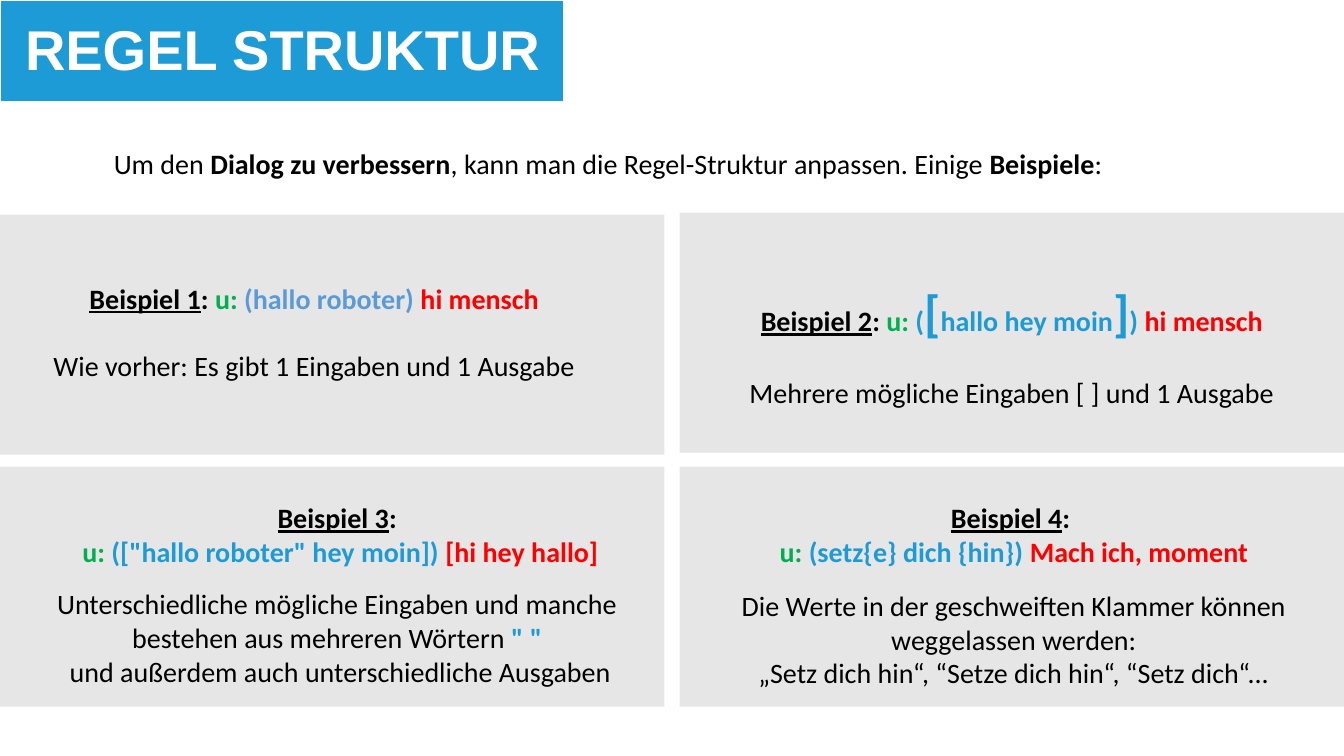
from pptx import Presentation
from pptx.dml.color import RGBColor
from pptx.enum.shapes import MSO_SHAPE
from pptx.enum.text import MSO_AUTO_SIZE, PP_ALIGN
from pptx.util import Emu, Pt

PX = 9144  # 100 px to the inch
HEX = {"black": "000000", "white": "FFFFFF", "blue": "1D9BD7", "sky": "5B9BD5",
       "green": "00B050", "red": "FF0000", "gray": "E7E6E6"}

deck = Presentation()
deck.slide_width, deck.slide_height = Emu(1333 * PX), Emu(750 * PX)
slide = deck.slides.add_slide(deck.slide_layouts[6])


def put(shapes, area, fill=None):
    """Add a filled panel, or a text box when no fill is given."""
    area = [Emu(n * PX) for n in area]
    if fill:
        shape = shapes.add_shape(MSO_SHAPE.RECTANGLE, *area)
        shape.shadow.inherit = False
        shape.fill.solid()
        shape.fill.fore_color.rgb = RGBColor.from_string(HEX[fill])
        shape.line.fill.background()
    else:
        shape = shapes.add_textbox(*area)
        shape.text_frame.word_wrap = True
        shape.text_frame.auto_size = MSO_AUTO_SIZE.SHAPE_TO_FIT_TEXT
    return shape


def write(para, text, size=20, color="black", bold=False, under=False, font="Calibri"):
    """Add text to a paragraph; a newline becomes a line break."""
    for i, line in enumerate(text.split("\n")):
        if i:
            para.add_line_break()
        if line:
            run = para.add_run()
            run.text = line
            face = run.font
            face.name, face.size, face.bold = font, Pt(size), bold
            face.underline = under
            face.color.rgb = RGBColor.from_string(HEX[color])


# Intro line
intro = put(slide.shapes, (103, 140, 1122, 44)).text_frame.paragraphs[0]
for i, part in enumerate(["Um den ", "Dialog zu verbessern",
                          ", kann man die Regel-Struktur anpassen. Einige ", "Beispiele", ":"]):
    write(intro, part, bold=i % 2 == 1)

# Title banner
banner = put(slide.shapes, (0, 0, 559, 101), "blue")
banner.line.color.rgb = RGBColor.from_string(HEX["white"])
banner.line.width = Pt(1)
title = put(slide.shapes, (15, 10, 1179, 77)).text_frame.paragraphs[0]
write(title, "REGEL STRUKTUR", size=40, color="white", bold=True, font="Arial")

# Examples: panel corner, text area, gap after the rule, separator, rule, notes
blue, red = {"color": "blue"}, {"color": "red"}
large = {"color": "blue", "size": 36}
cards = [
    ((0, 213), (29, 274, 565, 111), 24.4, ": ",
     [("(hallo roboter) ", {"color": "sky"}), ("hi mensch", red)],
     [[("Wie vorher: Es gibt 1 Eingaben und 1 Ausgabe", {})]]),
    ((674, 211), (699, 274, 609, 138), 24.4, ": ",
     [("(", blue), ("[", large), ("hallo hey moin", blue), ("]", large), (") ", blue),
      ("hi mensch", red)],
     [[("Mehrere mögliche Eingaben [ ] und 1 Ausgabe", {})]]),
    ((0, 463), (0, 492, 675, 202), 13.4, ": \n",
     [('(["hallo roboter" hey moin]) ', blue), ("[hi hey hallo]", red)],
     [[("Unterschiedliche mögliche Eingaben und manche \nbestehen aus mehreren Wörtern ", {}),
       ('" " \n', {"color": "blue", "bold": True}),
       ("und außerdem auch unterschiedliche Ausgaben", {})]]),
    ((674, 463), (702, 492, 607, 199), 14.6, ": \n",
     [("(setz{e} dich {hin}) ", blue), ("Mach ich, moment", red)],
     [[("Die Werte in der geschweiften Klammer können weggelassen werden:", {})],
      [("„Setz dich hin“, “Setze dich hin“, “Setz dich“...", {})]]),
]
for num, (spot, area, gap, sep, rule, notes) in enumerate(cards, 1):
    group = slide.shapes.add_group_shape()
    put(group.shapes, (*spot, 659, 238), "gray")
    frame = put(group.shapes, area).text_frame
    head = frame.paragraphs[0]
    head.alignment = PP_ALIGN.CENTER
    write(head, f"Beispiel {num}", bold=True, under=True)
    write(head, sep, bold=True)
    write(head, "u: ", color="green", bold=True)
    for text, style in rule:
        write(head, text, bold=True, **style)
    for i, note in enumerate(notes):
        para = frame.add_paragraph()
        para.alignment = PP_ALIGN.CENTER
        if i == 0:
            para.space_before = Pt(gap)
        for text, style in note:
            write(para, text, **style)

deck.save("out.pptx")
